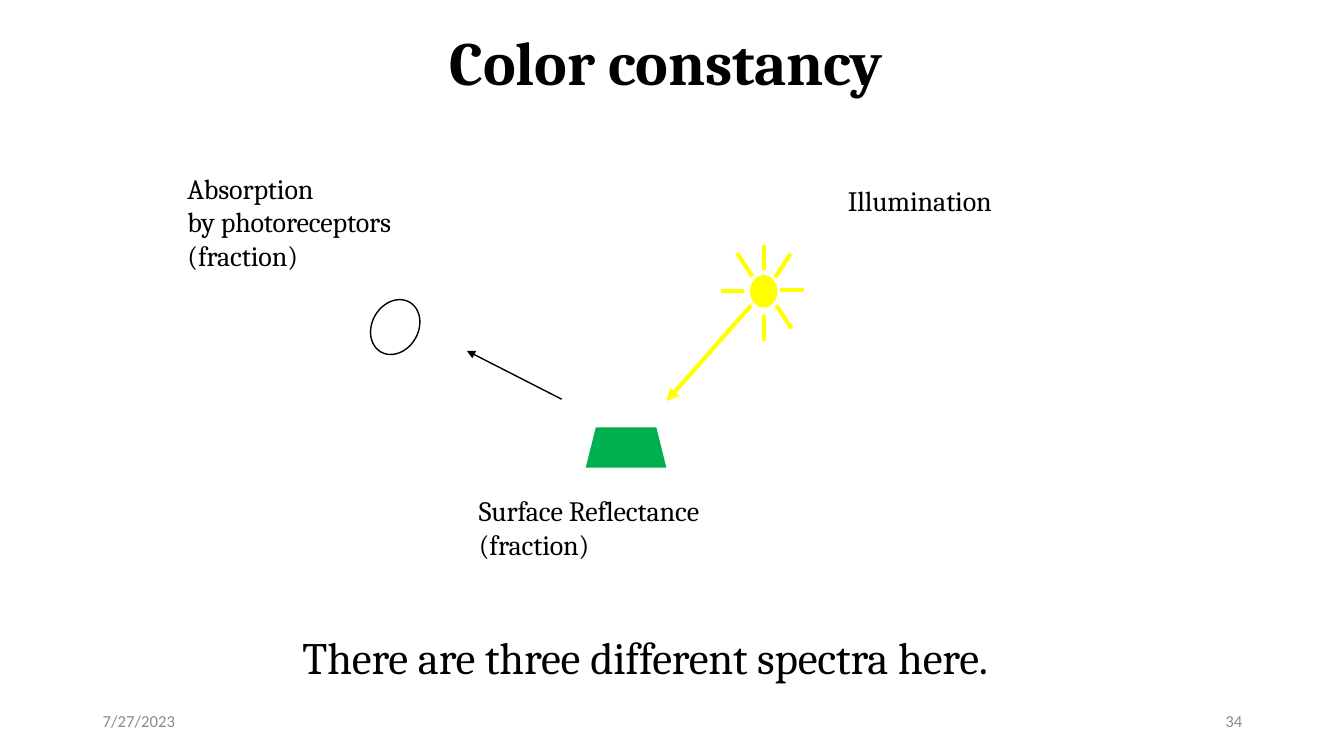
from dataclasses import dataclass

from lxml.etree import SubElement
from pptx import Presentation
from pptx.dml.color import RGBColor
from pptx.enum.shapes import MSO_CONNECTOR, MSO_SHAPE
from pptx.enum.text import MSO_ANCHOR, PP_ALIGN
from pptx.oxml.ns import qn
from pptx.util import Inches, Pt


@dataclass(frozen=True)
class Theme:
    ink: RGBColor = RGBColor(0, 0, 0)
    muted: RGBColor = RGBColor(0x8C, 0x8C, 0x8C)
    sun: RGBColor = RGBColor(0xFF, 0xFF, 0)
    surface: RGBColor = RGBColor(0, 0xAF, 0x50)
    serif: str = "Cambria"
    sans: str = "Calibri"
    title: int = 44
    summary: int = 32
    label: int = 20
    footer: int = 12
    thick: int = 3
    thin: int = 1


theme = Theme()
deck = Presentation()
deck.slide_width, deck.slide_height = Inches(13.33), Inches(7.5)
page = deck.slides.add_slide(deck.slide_layouts[6])


def add_text(lines, bounds, size, font=theme.serif, color=theme.ink,
             align=PP_ALIGN.LEFT, anchor=MSO_ANCHOR.TOP):
    """Add lines of (text, letter spacing in hundredths of a point) spans."""
    box = page.shapes.add_textbox(*map(Inches, bounds))
    frame = box.text_frame
    frame.word_wrap = True
    frame.vertical_anchor = anchor
    frame.text = "\n" * (len(lines) - 1)
    for para, spans in zip(frame.paragraphs, lines):
        para.alignment = align
        for text, spacing in spans:
            span = para.add_run()
            span.text = text
            span.font.name = font
            span.font.size = Pt(size)
            span.font.color.rgb = color
            span.font._element.set("spc", str(spacing))
    return frame


# Title and footer
title = add_text([[("Color ", -10), ("constancy", -20)]],
                 (0.86, -0.07, 11.5, 1.45), theme.title,
                 align=PP_ALIGN.CENTER, anchor=MSO_ANCHOR.MIDDLE)
title.paragraphs[0].line_spacing = 0.9
for span in title.paragraphs[0].runs:
    span.font.bold = True

for text, left, align in [("7/27/2023", 0.92, PP_ALIGN.LEFT),
                          ("34", 9.42, PP_ALIGN.RIGHT)]:
    add_text([[(text, 0)]], (left, 6.95, 3, 0.4), theme.footer, theme.sans,
             theme.muted, align, MSO_ANCHOR.MIDDLE)

# Labels and summary: lines, bounds, size, right inset
captions = [
    ([[("Illumination", -10)]], (8.4, 1.81, 2.15, 0.35), theme.label, 0),
    ([[("Surface Reflectance (fraction)", -10)]], (4.74, 4.89, 3.42, 0.69),
     theme.label, 0.8),
    ([[("Absorption", -10)], [("by photoreceptors", -10)], [("(fraction)", -10)]],
     (1.85, 1.69, 2.63, 1.02), theme.label, 0),
    ([[("There are three ", -10), ("different ", -20), ("spectra here.", -10)]],
     (2.99, 6.24, 7.9, 0.55), theme.summary, 0),
]
for lines, bounds, size, right_inset in captions:
    frame = add_text(lines, bounds, size)
    frame.margin_left = frame.margin_top = Inches(0.01)
    frame.margin_bottom = 0
    frame.margin_right = Inches(right_inset)

# Sun, reflecting surface and photoreceptor: preset, bounds, fill, line, width, tilt
figures = [
    (MSO_SHAPE.OVAL, (7.46, 2.75, 0.23, 0.28), theme.sun, theme.sun, theme.thick, 0),
    (MSO_SHAPE.TRAPEZOID, (5.81, 4.24, 0.8, 0.4), theme.surface, None, 0, 0),
    (MSO_SHAPE.OVAL, (3.69, 2.96, 0.46, 0.57), None, theme.ink, theme.thin, 30),
]
for preset, bounds, fill, outline, width, tilt in figures:
    shape = page.shapes.add_shape(preset, *map(Inches, bounds))
    shape.shadow.inherit = False
    shape.rotation = tilt
    if fill is None:
        shape.fill.background()
    else:
        shape.fill.solid()
        shape.fill.fore_color.rgb = fill
    if outline is None:
        shape.line.fill.background()
    else:
        shape.line.color.rgb = outline
        shape.line.width = Pt(width)

# Sun rays: the side rays form one outline, the upright rays another
side_rays = [
    ((7.38, 2.89), (7.15, 2.89)),
    ((7.97, 2.88), (7.74, 2.88)),
    ((7.84, 2.52), (7.69, 2.75)),
    ((7.85, 3.26), (7.7, 3.03)),
    ((7.46, 2.74), (7.31, 2.51)),
]
upright_rays = [
    ((7.58, 2.68), (7.58, 2.43)),
    ((7.58, 3.38), (7.58, 3.13)),
]
for rays in (side_rays, upright_rays):
    builder = page.shapes.build_freeform(*map(Inches, rays[0][0]))
    for start, end in rays:
        if start != rays[0][0]:
            builder.move_to(*map(Inches, start))
        builder.add_line_segments([tuple(map(Inches, end))], close=False)
    burst = builder.convert_to_shape()
    burst.shadow.inherit = False
    burst.fill.background()
    burst.line.color.rgb = theme.sun
    burst.line.width = Pt(theme.thick)

# Light path: sun to surface, surface to photoreceptor
light_path = [
    ((7.45, 3.03), (6.61, 3.98), theme.sun, theme.thick),
    ((5.57, 3.96), (4.63, 3.48), theme.ink, theme.thin),
]
for start, end, color, width in light_path:
    arrow = page.shapes.add_connector(
        MSO_CONNECTOR.STRAIGHT, *map(Inches, (*start, *end)))
    arrow.line.color.rgb = color
    arrow.line.width = Pt(width)
    SubElement(arrow.line._get_or_add_ln(), qn("a:tailEnd"), type="triangle")
    SubElement(arrow._element.spPr, qn("a:effectLst"))

deck.save("out.pptx")
